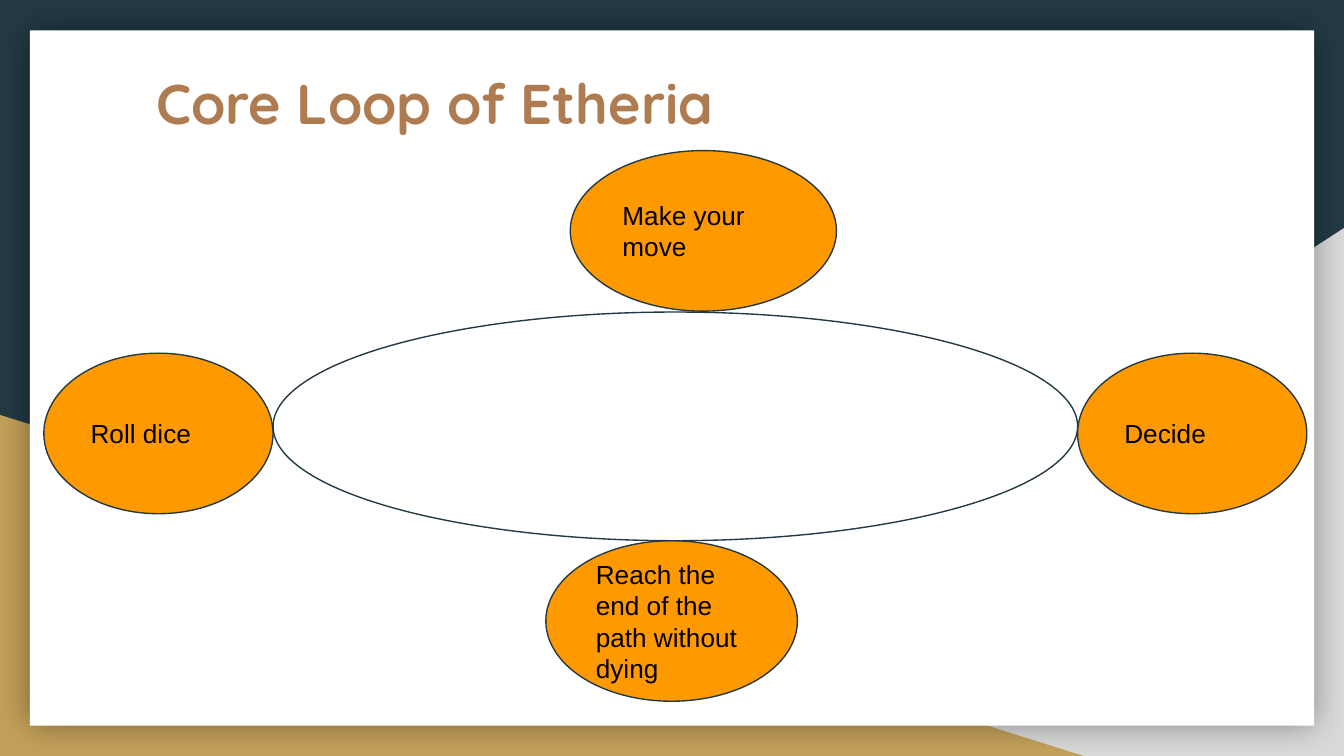
from lxml import etree
from pptx import Presentation
from pptx.dml.color import RGBColor
from pptx.enum.shapes import MSO_SHAPE
from pptx.enum.text import MSO_ANCHOR, PP_ALIGN
from pptx.oxml.ns import qn
from pptx.util import Pt

ELLIPSE = MSO_SHAPE.OVAL
TRIANGLE = MSO_SHAPE.RIGHT_TRIANGLE
RECTANGLE = MSO_SHAPE.RECTANGLE
TOP, MIDDLE = MSO_ANCHOR.TOP, MSO_ANCHOR.MIDDLE
LEFT = PP_ALIGN.LEFT

COLORS = {
    "navy": "233A44", "gray": "D9D9D9", "gold": "C4A15A", "white": "FFFFFF",
    "brown": "AF7B51", "orange": "FF9900", "black": "000000",
}
SLIDE_WIDTH, SLIDE_HEIGHT = 720, 405
INSET = 7.2

TITLE = "Core Loop of Etheria"
TITLE_BOX = (76.5, 29.5, 591, 75)

# Loop ellipse: left, top, width, height
LOOP = (146.3, 167.2, 431, 122.5)
STEP_HEIGHT = 86
# Step text, side of the loop it touches, width, shift along that side
STEPS = [
    ("Roll dice", "left", 122.8, 3.8),
    ("Make your move", "top", 142.6, 15),
    ("Decide", "right", 122.8, 3.8),
    ("Reach the end of the path without dying", "bottom", 134.8, -2),
]


def color(name):
    return RGBColor.from_string(COLORS[name])


def add_shape(slide, kind, box, fill=None, line=None):
    shape = slide.shapes.add_shape(kind, *(Pt(value) for value in box))
    shape.shadow.inherit = False
    if fill:
        shape.fill.solid()
        shape.fill.fore_color.rgb = color(fill)
    else:
        shape.fill.background()
    if line:
        shape.line.color.rgb = color(line)
        shape.line.width = Pt(0.75)
    else:
        shape.line.fill.background()
    return shape


def add_text(shape, text, font_name, size, font_color, anchor, bold=False):
    frame = shape.text_frame
    frame.word_wrap = True
    frame.vertical_anchor = anchor
    frame.margin_left = frame.margin_right = Pt(INSET)
    frame.margin_top = frame.margin_bottom = Pt(INSET)
    paragraph = frame.paragraphs[0]
    paragraph.alignment = LEFT
    run = paragraph.add_run()
    run.text = text
    run.font.name = font_name
    run.font.size = Pt(size)
    run.font.bold = bold
    run.font.color.rgb = color(font_color)


def add_glow_shadow(shape, blur, opacity):
    effects = shape._element.spPr.find(qn("a:effectLst"))
    shadow = etree.SubElement(effects, qn("a:outerShdw"), blurRad=str(Pt(blur)),
                              dist="0", algn="ctr", rotWithShape="0")
    tint = etree.SubElement(shadow, qn("a:srgbClr"), val=COLORS["black"])
    etree.SubElement(tint, qn("a:alpha"), val=str(opacity * 1000))


def step_box(side, width, shift):
    left, top, loop_width, loop_height = LOOP
    step_left = left + (loop_width - width) / 2 + shift
    step_top = top + (loop_height - STEP_HEIGHT) / 2 + shift
    step_left, step_top = {
        "left": (left - width, step_top),
        "right": (left + loop_width, step_top),
        "top": (step_left, top - STEP_HEIGHT - 0.5),
        "bottom": (step_left, top + loop_height),
    }[side]
    return step_left, step_top, width, STEP_HEIGHT


presentation = Presentation()
presentation.slide_width = Pt(SLIDE_WIDTH)
presentation.slide_height = Pt(SLIDE_HEIGHT)
slide = presentation.slides.add_slide(presentation.slide_layouts[6])

# Background with corner triangles and white card
slide.background.fill.solid()
slide.background.fill.fore_color.rgb = color("navy")
gray_corner = add_shape(slide, TRIANGLE, (282.2, 122.2, 437.8, 282.8), "gray")
gray_corner._element.spPr.find(qn("a:xfrm")).set("flipH", "1")
add_shape(slide, TRIANGLE, (0, 222.3, 580.5, 182.7), "gold")
card = add_shape(slide, RECTANGLE, (16, 16.2, 688, 372.5), "white")
add_glow_shadow(card, 18, 40)

# Title
title = slide.shapes.add_textbox(*(Pt(value) for value in TITLE_BOX))
add_text(title, TITLE, "Quicksand", 30, "brown", TOP, bold=True)

# Steps around the loop
for text, side, width, shift in STEPS:
    step = add_shape(slide, ELLIPSE, step_box(side, width, shift), "orange", "navy")
    add_text(step, text, "Arial", 14, "black", MIDDLE)

# Loop
add_shape(slide, ELLIPSE, LOOP, line="navy")

presentation.save("out.pptx")
